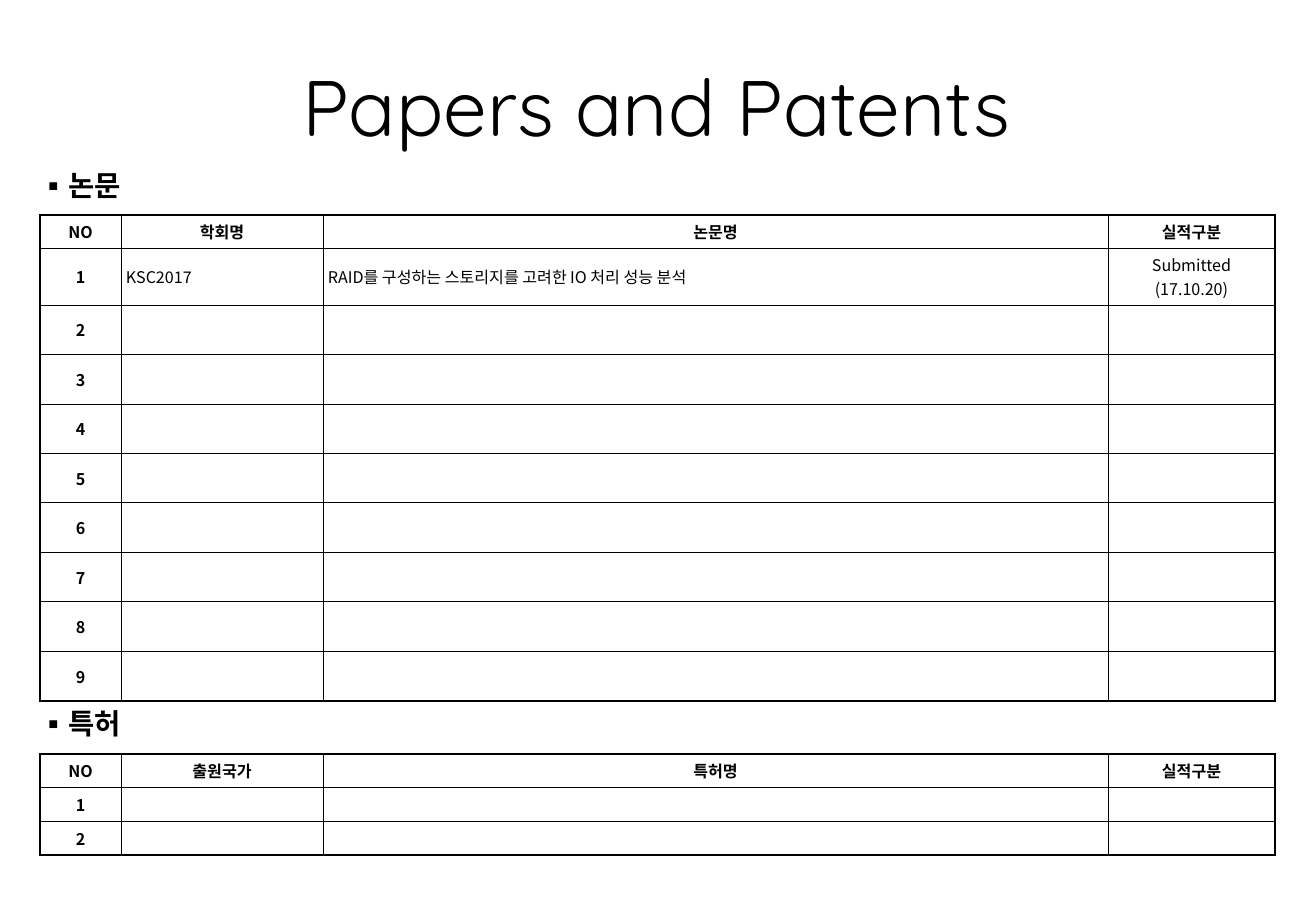
from lxml.etree import SubElement
from pptx import Presentation
from pptx.dml.color import RGBColor
from pptx.enum.text import MSO_ANCHOR, PP_ALIGN
from pptx.oxml import parse_xml
from pptx.oxml.ns import nsdecls, qn
from pptx.util import Pt

SCALE = 914400 / 128.5
COLORS = {"ink": "000000", "paper": "FFFFFF"}
BODY_FONT = "Noto Sans CJK KR"
TITLE_FONT = "Quicksand"
LEFT, WIDTH = 40, 1235
COLUMNS = (81, 202, 785, 167)


def px(length):
    """Turn pixels into EMU."""
    return round(length * SCALE)


class Sheet:
    """Holds the slide and the shared style of its elements."""

    def __init__(self, slide, cell_size=9, cell_inset=5):
        """Keep the slide and the table text style."""
        self.slide = slide
        self.cell_size = cell_size
        self.cell_inset = cell_inset

    def add_words(self, paragraph, text, size, bold=False, font=BODY_FONT):
        """Add one styled run to a paragraph."""
        run = paragraph.add_run()
        run.text = text
        run.font.size = Pt(size)
        run.font.bold = bold
        run.font.name = font
        run.font.color.rgb = RGBColor.from_string(COLORS["ink"])
        SubElement(run.font._element, qn("a:ea")).set("typeface", font)

    def text_area(self, left, top, width, height):
        """Add a wrapping, vertically centred text box and return its frame."""
        box = self.slide.shapes.add_textbox(px(left), px(top), px(width), px(height))
        frame = box.text_frame
        frame.word_wrap = True
        frame.vertical_anchor = MSO_ANCHOR.MIDDLE
        return frame

    def title(self, text, *area):
        """Add the centred slide title."""
        paragraph = self.text_area(*area).paragraphs[0]
        paragraph.alignment = PP_ALIGN.CENTER
        self.add_words(paragraph, text, 44, font=TITLE_FONT)

    def heading(self, text, top, indent=21):
        """Add a bulleted section heading."""
        frame = self.text_area(LEFT, top, WIDTH, 40)
        frame.margin_left = frame.margin_right = 0
        frame.margin_top = frame.margin_bottom = 0
        paragraph = frame.paragraphs[0]
        properties = paragraph._p.get_or_add_pPr()
        properties.set("marL", str(px(indent)))
        properties.set("indent", str(-px(indent)))
        SubElement(properties, qn("a:buFont")).set("typeface", BODY_FONT)
        SubElement(properties, qn("a:buChar")).set("char", "▪")
        self.add_words(paragraph, text, 16, bold=True)

    def borders(self, cell, outer_sides):
        """Draw the four cell borders, thicker on the table's outer sides."""
        properties = cell._tc.get_or_add_tcPr()
        for position, side in enumerate("LRTB"):
            width = Pt(1 if side in outer_sides else 0.5)
            properties.insert(position, parse_xml(
                f'<a:ln{side} {nsdecls("a")} w="{width}"><a:solidFill>'
                f'<a:srgbClr val="{COLORS["ink"]}"/></a:solidFill></a:ln{side}>'))

    def fill_cell(self, cell, text, bold, centred):
        """Set a cell's lines in the table text style."""
        cell.fill.solid()
        cell.fill.fore_color.rgb = RGBColor.from_string(COLORS["paper"])
        cell.vertical_anchor = MSO_ANCHOR.MIDDLE
        cell.margin_left = cell.margin_right = px(self.cell_inset)
        cell.margin_top = cell.margin_bottom = px(self.cell_inset)
        frame = cell.text_frame
        for number, line in enumerate(text.split("\n")):
            paragraph = frame.add_paragraph() if number else frame.paragraphs[0]
            paragraph.alignment = PP_ALIGN.CENTER if centred else PP_ALIGN.LEFT
            if line:
                self.add_words(paragraph, line, self.cell_size, bold)
            else:
                end = SubElement(paragraph._p, qn("a:endParaRPr"))
                end.set("sz", str(self.cell_size * 100))

    def table(self, top, heights, header, records):
        """Add a numbered table; records maps a row number to its cells."""
        rows, columns = len(heights), len(COLUMNS)
        grid = self.slide.shapes.add_table(
            rows, columns, px(LEFT), px(top), px(WIDTH), px(sum(heights))).table
        grid.first_row = grid.horz_banding = False
        for column, width in zip(grid.columns, COLUMNS):
            column.width = px(width)
        for number, height in enumerate(heights):
            grid.rows[number].height = px(height)
            blank = ("",) * (columns - 1)
            texts = (str(number), *records.get(number, blank)) if number else header
            for place, text in enumerate(texts):
                cell = grid.cell(number, place)
                strong = number == 0 or place == 0
                self.fill_cell(cell, text, strong, strong or place == columns - 1)
                outer = {"L": place == 0, "R": place == columns - 1,
                         "T": number == 0, "B": number == rows - 1}
                self.borders(cell, [side for side, edge in outer.items() if edge])


presentation = Presentation()
presentation.slide_width, presentation.slide_height = px(1316), px(901)
sheet = Sheet(presentation.slides.add_slide(presentation.slide_layouts[6]))

sheet.title("Papers and Patents", 50, 35, 1214, 141)
sheet.heading("논문", 165)
sheet.table(215, [33, 57] + [396 / 8] * 8, ("NO", "학회명", "논문명", "실적구분"),
            {1: ("KSC2017", "RAID를 구성하는 스토리지를 고려한 IO 처리 성능 분석",
                 "Submitted\n(17.10.20)")})
sheet.heading("특허", 703)
sheet.table(754, [101 / 3] * 3, ("NO", "출원국가", "특허명", "실적구분"), {})

presentation.save("out.pptx")
